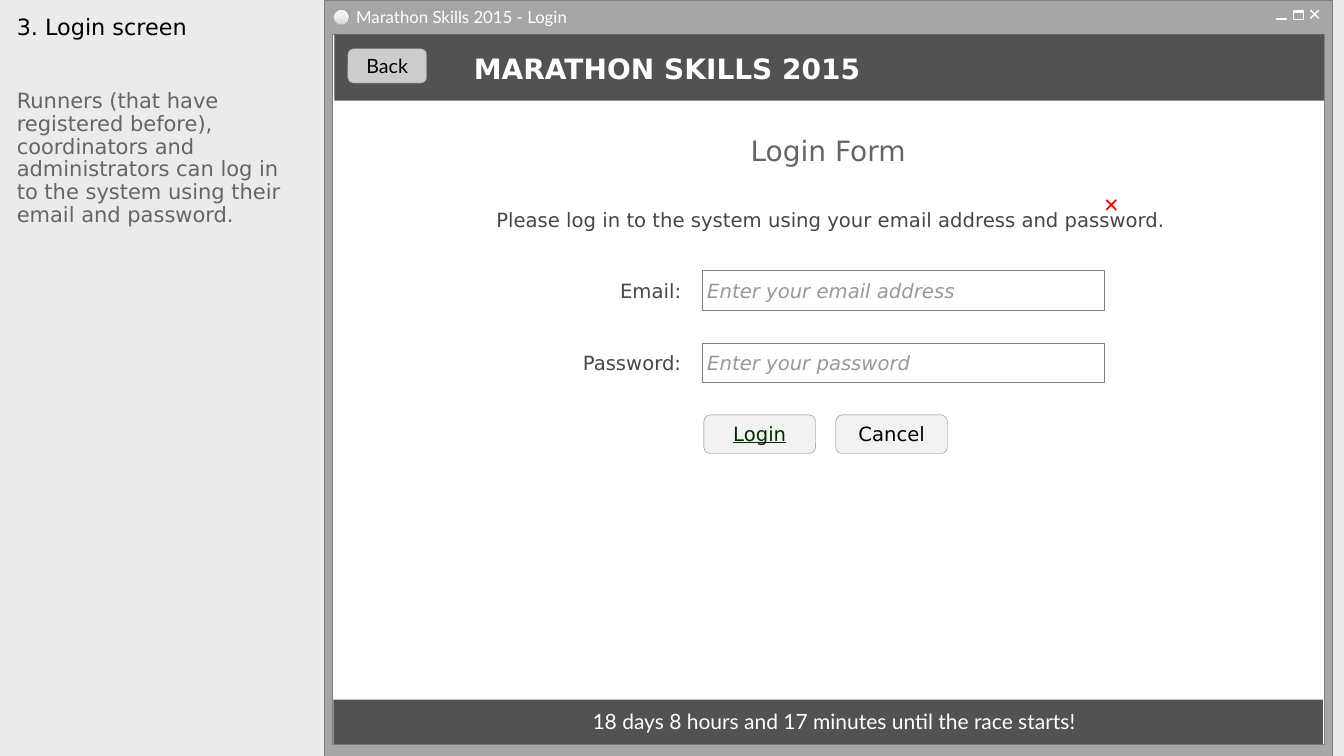
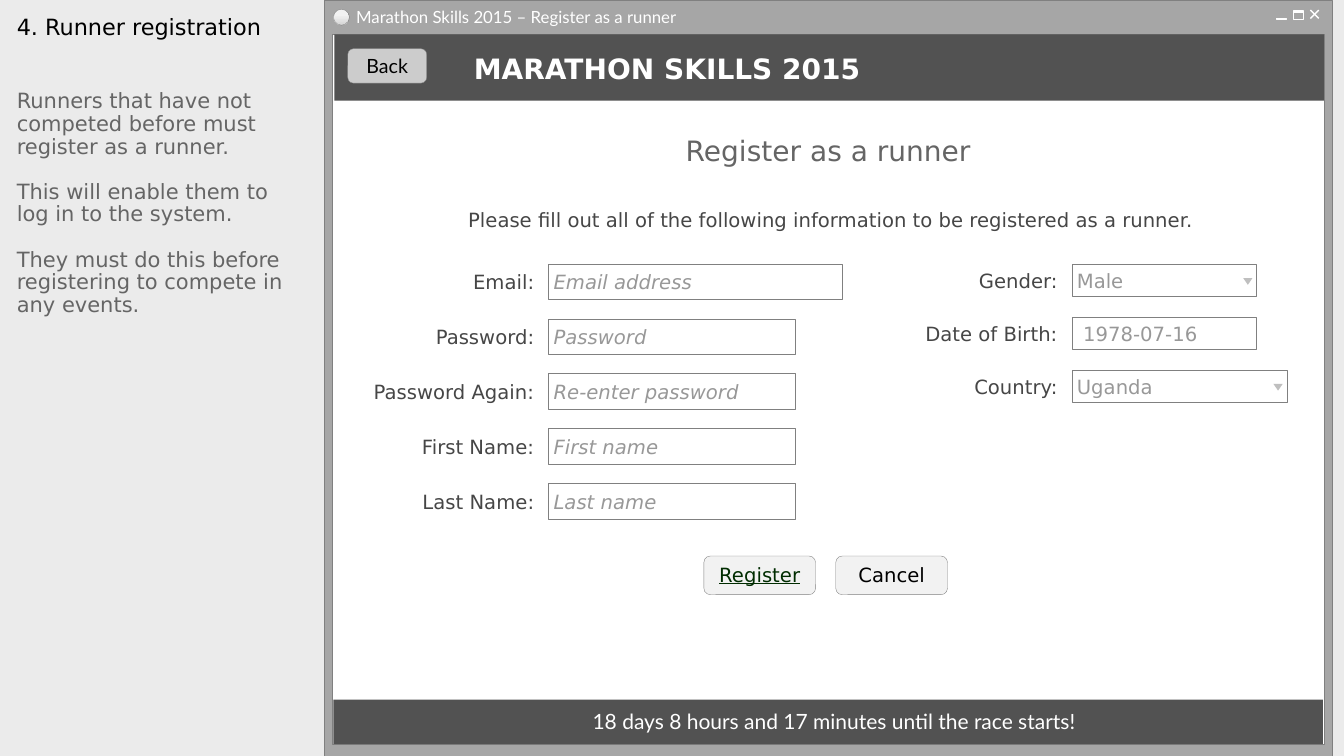
import lxml.etree
import pptx
import pptx.dml.color
import pptx.enum.shapes
import pptx.enum.text
import pptx.oxml.ns
import pptx.util

RGB = pptx.dml.color.RGBColor
SHAPE = pptx.enum.shapes.MSO_SHAPE
ALIGN = pptx.enum.text.PP_ALIGN
ANCHOR = pptx.enum.text.MSO_ANCHOR

# Colours
PAPER = RGB(0xEB, 0xEB, 0xEB)
FRAME = RGB(0xA6, 0xA6, 0xA6)
OUTLINE = RGB(0x80, 0x80, 0x80)
BAND = RGB(0x52, 0x52, 0x52)
WHITE = RGB(0xFF, 0xFF, 0xFF)
BLACK = RGB(0x00, 0x00, 0x00)
BACK_FILL = RGB(0xCC, 0xCC, 0xCC)
BUTTON_FILL = RGB(0xF2, 0xF2, 0xF2)
BALL_SHADE = RGB(0xD9, 0xD9, 0xD9)
BAR_FILL = RGB(0x91, 0x91, 0x91)
ARROW = RGB(0xBF, 0xBF, 0xBF)
HEADING = RGB(0x65, 0x65, 0x65)
LABEL = RGB(0x46, 0x46, 0x46)
HINT = RGB(0x98, 0x98, 0x98)
ACTION = RGB(0x00, 0x2C, 0x00)
ERROR = RGB(0xFF, 0x00, 0x00)

# Fonts and grid
SANS, LATO = "DejaVu Sans", "Lato"
COLUMNS, ROWS = 160, 90
PAD = (1.2, 0.24, 1.2, 0.36)
BUTTON_PAD = (1.2, 0, 1.2, 0.12)
FIELD_PAD = (0.6, 0.24, 0.6, 0.24)
NO_PAD = (0, 0, 0, 0)


class Screens:
    """Style and current slide; boxes are (column, row, columns, rows)."""

    def __init__(self):
        self.deck = pptx.Presentation()
        self.deck.slide_width = pptx.util.Inches(13.33)
        self.deck.slide_height = pptx.util.Inches(7.5)
        background = self.deck.slide_master.background.fill
        background.solid()
        background.fore_color.rgb = PAPER
        self.page = None

    def across(self, columns):
        return round(self.deck.slide_width * columns / COLUMNS)

    def down(self, rows):
        return round(self.deck.slide_height * rows / ROWS)

    def place(self, box):
        left, top, width, height = box
        return (self.across(left), self.down(top),
                self.across(width), self.down(height))

    # Basic elements
    def shape(self, kind, box, fill=None, line=OUTLINE, weight=0.25):
        shape = self.page.shapes.add_shape(kind, *self.place(box))
        shape.shadow.inherit = False
        if fill is None:
            shape.fill.background()
        else:
            shape.fill.solid()
            shape.fill.fore_color.rgb = fill
        if line is None:
            shape.line.fill.background()
        else:
            shape.line.color.rgb = line
            shape.line.width = pptx.util.Pt(weight)
        return shape

    def line(self, start, end, color, weight):
        line = self.page.shapes.add_connector(
            pptx.enum.shapes.MSO_CONNECTOR.STRAIGHT,
            self.across(start[0]), self.down(start[1]),
            self.across(end[0]), self.down(end[1]))
        line.line.color.rgb = color
        line.line.width = pptx.util.Pt(weight)
        lxml.etree.SubElement(line._element.spPr,
                              pptx.oxml.ns.qn("a:effectLst"))

    def put_text(self, shape, paragraphs, size, color, font=SANS,
                 align=ALIGN.LEFT, anchor=ANCHOR.MIDDLE, pad=PAD, spacing=None,
                 gap=0, bold=None, italic=None, underline=None):
        frame = shape.text_frame
        frame.word_wrap = True
        frame.vertical_anchor = anchor
        frame.margin_left, frame.margin_right = map(self.across, pad[::2])
        frame.margin_top, frame.margin_bottom = map(self.down, pad[1::2])
        for index, words in enumerate(paragraphs):
            para = frame.add_paragraph() if index else frame.paragraphs[0]
            para.alignment = align
            if spacing:
                para.line_spacing = spacing
            if index:
                para.space_before = pptx.util.Pt(gap)
            span = para.add_run()
            span.text = words
            span.font.name = font
            span.font.size = pptx.util.Pt(size)
            span.font.color.rgb = color
            span.font.bold = bold
            span.font.italic = italic
            span.font.underline = underline

    def text(self, box, words, size, color, **style):
        shape = self.page.shapes.add_textbox(*self.place(box))
        paragraphs = [words] if isinstance(words, str) else words
        self.put_text(shape, paragraphs, size, color, **style)

    # Form elements
    def button(self, box, words, fill=BUTTON_FILL, color=BLACK, **style):
        shape = self.shape(SHAPE.ROUNDED_RECTANGLE, box, fill)
        self.put_text(shape, [words], 14, color, align=ALIGN.CENTER,
                      pad=BUTTON_PAD, **style)

    def buttons(self, row, action):
        self.button((83.8, row, 13.3, 4.6), action, color=ACTION, underline=True)
        self.button((99.5, row, 13.3, 4.6), "Cancel")

    def field(self, box, label, value, gap, pad=FIELD_PAD, italic=True):
        left, top, width, height = box
        label_width = 26
        self.text((left - gap - label_width, top, label_width, height), label,
                  14, LABEL, align=ALIGN.RIGHT, pad=NO_PAD)
        shape = self.shape(SHAPE.RECTANGLE, box, WHITE)
        self.put_text(shape, [value], 14, HINT, pad=pad, italic=italic)

    def dropdown(self, box, label, value, gap):
        left, top, width, height = box
        self.field(box, label, value, gap, italic=False)
        arrow = self.shape(SHAPE.ISOSCELES_TRIANGLE,
                           (left + width - 1.6, top + height / 2 - 0.3, 1.1, 0.8),
                           ARROW, None)
        arrow.rotation = 180

    # Parts shared by every screen
    def window(self, caption):
        self.shape(SHAPE.RECTANGLE, (38.6, 0, 120, 90), FRAME)
        self.shape(SHAPE.RECTANGLE, (39.6, 4.1, 118, 84.5), WHITE)
        self.text((41.8, 0.6, 60, 3), caption, 12, WHITE, font=LATO,
                  pad=(0.6, 0.24, 1.2, 0.36))
        # Close, maximise and minimise signs
        self.line((156, 1.2), (157, 2.2), WHITE, 1)
        self.line((157, 1.2), (156, 2.2), WHITE, 1)
        self.shape(SHAPE.RECTANGLE, (154, 1.3, 1.2, 0.1), BAR_FILL, WHITE)
        self.shape(SHAPE.RECTANGLE, (154, 1.3, 1.2, 1), None, WHITE, 1)
        self.shape(SHAPE.RECTANGLE, (151.9, 2.2, 1.2, 0.1), BAR_FILL, WHITE)
        # Window ball
        ball = self.shape(SHAPE.OVAL, (39.7, 1.1, 1.9, 1.9), BUTTON_FILL)
        ball.fill.gradient()
        ball.fill.gradient_angle = 270
        shades = ((0.36, BUTTON_FILL), (0.91, BALL_SHADE))
        for stop, (position, color) in zip(ball.fill.gradient_stops, shades):
            stop.position = position
            stop.color.rgb = color

    def bands(self):
        self.shape(SHAPE.RECTANGLE, (39.8, 4.1, 117.8, 7.9), BAND, None)
        self.shape(SHAPE.RECTANGLE, (39.7, 83.3, 117.8, 5.3), BAND, None)
        self.text((52, 84.1, 94.6, 3.6),
                  "18 days 8 hours and 17 minutes until the race starts!",
                  15, WHITE, font=LATO, align=ALIGN.CENTER)
        self.button((41.4, 5.8, 9.4, 4.1), "Back", BACK_FILL, font=LATO)
        self.text((55.2, 5.8, 51.1, 4.7), "MARATHON SKILLS 2015", 20, WHITE,
                  bold=True)

    def screen(self, title, remarks, caption, heading, prompt):
        self.page = self.deck.slides.add_slide(self.deck.slide_layouts[6])
        self.window(caption)
        self.bands()
        side = dict(anchor=ANCHOR.TOP, pad=(1.2, 0.6, 1.2, 0.6), spacing=0.9)
        self.text((0.8, 1.3, 36.1, 8.8), title, 16, BLACK, **side)
        self.text((0.8, 10.2, 36.1, 77.6), remarks, 15, HEADING, gap=16, **side)
        self.text((54.6, 15.6, 88, 4.7), heading, 20, HEADING, align=ALIGN.CENTER)
        self.text((47.8, 24.5, 102.2, 3.5), prompt, 14, LABEL, align=ALIGN.CENTER)


def login(screens):
    screens.screen(
        "3. Login screen",
        ["Runners (that have registered before), coordinators and "
         "administrators can log in to the system using their email and "
         "password."],
        "Marathon Skills 2015 - Login", "Login Form",
        "Please log in to the system using your email address and password.")
    fields = (("Email:", "Enter your email address"),
              ("Password:", "Enter your password"))
    for index, (label, hint) in enumerate(fields):
        screens.field((83.6, 32.2 + 8.6 * index, 47.9, 4.7), label, hint, 2.5)
    screens.buttons(49.4, "Login")
    screens.text((129.6, 22.9, 5.4, 2.9), "✕", 14, ERROR,
                 align=ALIGN.CENTER, pad=NO_PAD)


def registration(screens):
    screens.screen(
        "4. Runner registration",
        ["Runners that have not competed before must register as a runner.",
         "This will enable them to log in to the system.",
         "They must do this before registering to compete in any events."],
        "Marathon Skills 2015 – Register as a runner", "Register as a runner",
        "Please fill out all of the following information to be registered "
        "as a runner.")
    # Account and name
    fields = (("Email:", "Email address", 35),
              ("Password:", "Password", 29.4),
              ("Password Again:", "Re-enter password", 29.4),
              ("First Name:", "First name", 29.4),
              ("Last Name:", "Last name", 29.4))
    gap = 1.7
    for index, (label, hint, width) in enumerate(fields):
        screens.field((65.3, 31.4 + 6.54 * index, width, 4.2), label, hint, gap)
    # Personal details
    left, top, pitch, height = 127.6, 31.5, 6.3, 3.8
    screens.dropdown((left, top, 22, height), "Gender:", "Male", gap)
    screens.field((left, top + pitch, 22, height), "Date of Birth:",
                  "1978-07-16", gap, pad=(1.35, 0, 0, 0), italic=False)
    screens.dropdown((left, top + 2 * pitch, 25.6, height), "Country:",
                     "Uganda", gap)
    screens.buttons(66.2, "Register")


def main():
    screens = Screens()
    login(screens)
    registration(screens)
    screens.deck.save("out.pptx")


if __name__ == "__main__":
    main()
